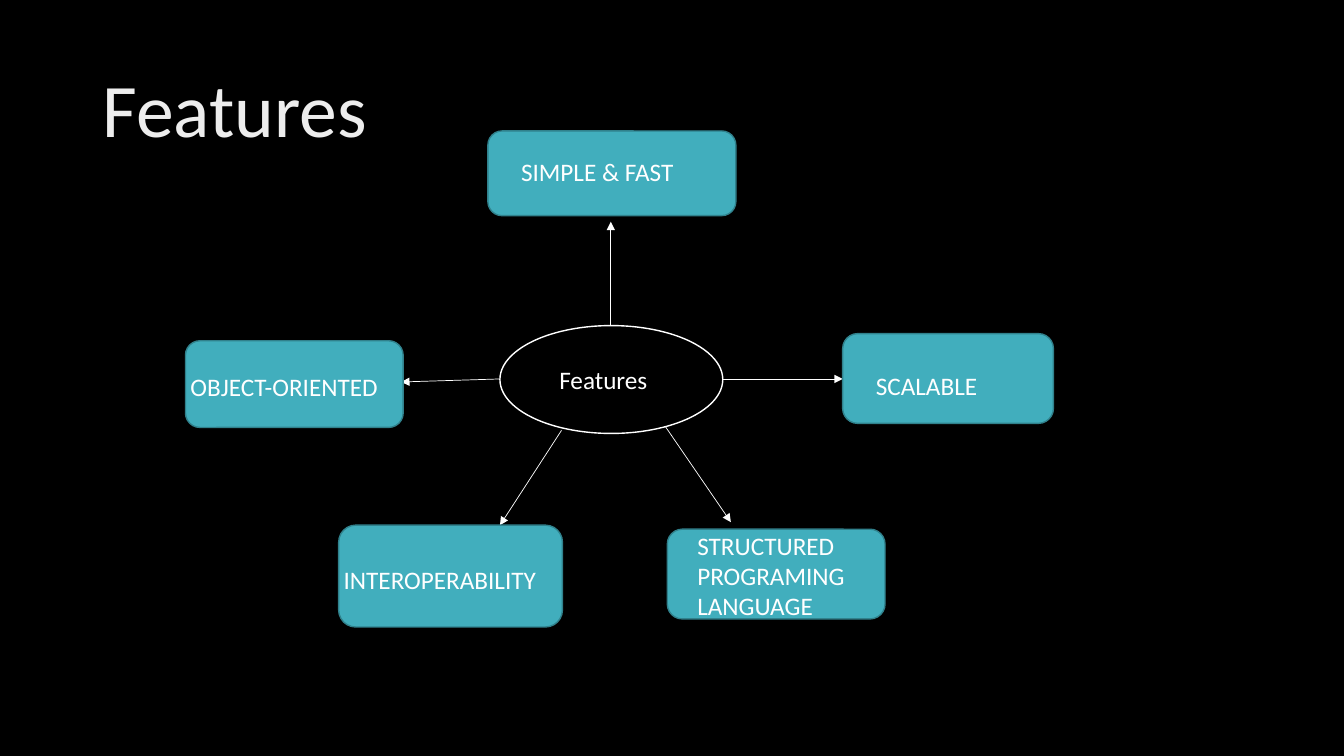
from dataclasses import dataclass
from pptx import Presentation
from pptx.dml.color import RGBColor
from pptx.enum.shapes import MSO_CONNECTOR as Conn, MSO_SHAPE as Shape
from pptx.enum.text import MSO_ANCHOR as Anchor
from pptx.oxml.ns import qn
from pptx.util import Inches, Pt
from lxml.etree import SubElement

# Content: every length is a percentage of the slide's width or height
TITLE = ("Features", (6.9, 5.33, 86.25, 19.33))
HUB = ("Features", (37.2, 43.07, 16.58, 14.27), (40.88, 47.47, 11.1, 5.33))

# Feature: label, box, label frame, arrow start, arrow end
FEATURES = [
    ("STRUCTURED PROGRAMING LANGUAGE", (49.65, 70, 16.2, 11.87),
     (51.15, 69.47, 14.03, 13.47), (49.5, 56.4), (54.38, 69.07)),
    ("SCALABLE", (62.7, 44.13, 15.68, 11.87),
     (64.43, 48.27, 13.28, 5.33), (53.78, 50.13), (62.7, 50.13)),
    ("INTEROPERABILITY", (25.2, 69.47, 16.65, 13.47),
     (24.83, 74, 19.13, 5.33), (41.78, 56.93), (37.2, 69.47)),
    ("OBJECT-ORIENTED", (13.8, 45.07, 16.2, 11.47),
     (13.43, 48.4, 17.18, 5.33), (37.2, 50.13), (29.85, 50.53)),
    ("SIMPLE & FAST", (36.3, 17.33, 18.45, 11.2),
     (38.03, 20, 15.75, 5.33), (45.45, 43.07), (45.45, 29.33)),
]


@dataclass(frozen=True)
class Theme:
    font: str = "Calibri"
    back: str = "000000"
    ink: str = "FFFFFF"
    title: str = "EDEDED"
    box: str = "41AEBD"
    edge: str = "30818C"
    title_size: int = 54
    label_size: int = 18
    outline: float = 1
    arrow: float = 0.5


T = Theme()
rgb = RGBColor.from_string

prs = Presentation()
prs.slide_width, prs.slide_height = Inches(13.33), Inches(7.5)
s = prs.slides.add_slide(prs.slide_layouts[6])
s.background.fill.solid()
s.background.fill.fore_color.rgb = rgb(T.back)


def place(lengths):
    """Turn alternating width and height percentages into slide units."""
    sides = (prs.slide_width, prs.slide_height) * 2
    return [round(side * n / 100) for side, n in zip(sides, lengths)]


def add_text(text, frame, size, color, anchor=Anchor.TOP, spacing=1.0):
    tf = s.shapes.add_textbox(*place(frame)).text_frame
    tf.word_wrap = True
    tf.vertical_anchor = anchor
    p = tf.paragraphs[0]
    p.line_spacing = spacing
    r = p.add_run()
    r.text = text
    r.font.name, r.font.size = T.font, Pt(size)
    r.font.color.rgb = rgb(color)


def add_node(kind, frame, fill, line):
    sp = s.shapes.add_shape(kind, *place(frame))
    sp.shadow.inherit = False
    sp.fill.solid()
    sp.fill.fore_color.rgb = rgb(fill)
    sp.line.color.rgb = rgb(line)
    sp.line.width = Pt(T.outline)


def add_arrow(start, end):
    cx = s.shapes.add_connector(Conn.STRAIGHT, *place(start + end))
    cx.line.color.rgb = rgb(T.ink)
    cx.line.width = Pt(T.arrow)
    SubElement(cx.line._get_or_add_ln(), qn("a:tailEnd"), type="triangle")
    SubElement(cx._element.spPr, qn("a:effectLst"))


# Title and hub
add_text(*TITLE, T.title_size, T.title, Anchor.MIDDLE, 0.9)
hub_label, hub_frame, hub_text_frame = HUB
add_node(Shape.OVAL, hub_frame, T.back, T.ink)
add_text(hub_label, hub_text_frame, T.label_size, T.ink)

# Features around the hub
for label, box, text_frame, start, end in FEATURES:
    add_arrow(start, end)
    add_node(Shape.ROUNDED_RECTANGLE, box, T.box, T.edge)
    add_text(label, text_frame, T.label_size, T.ink)

prs.save("out.pptx")
